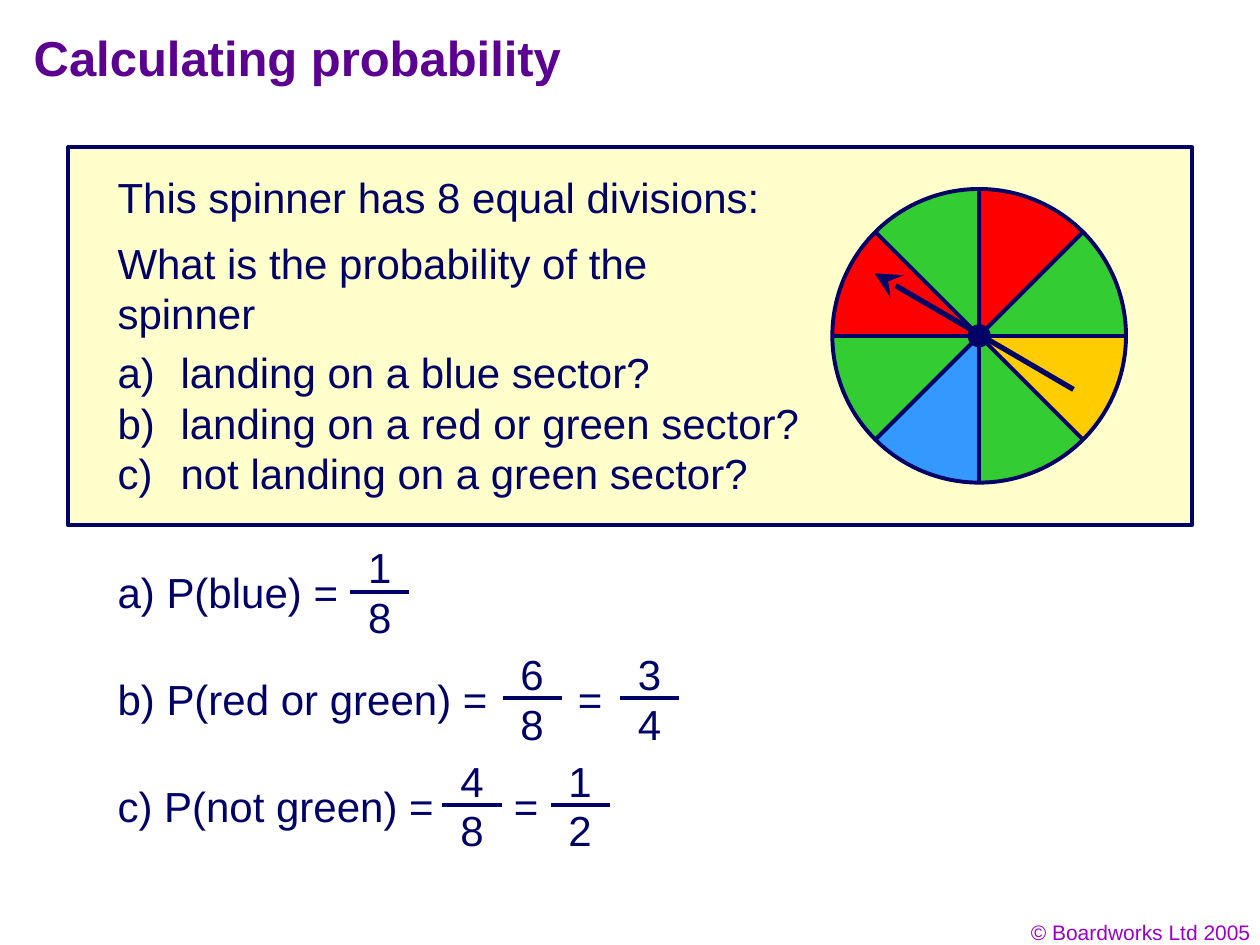
from dataclasses import dataclass
from math import cos, radians, sin

from lxml import etree
from pptx import Presentation
from pptx.dml.color import RGBColor
from pptx.enum.shapes import MSO_CONNECTOR, MSO_SHAPE
from pptx.enum.text import MSO_ANCHOR, PP_ALIGN
from pptx.oxml.ns import qn
from pptx.util import Cm, Pt

STRAIGHT = MSO_CONNECTOR.STRAIGHT
RECTANGLE, OVAL, PIE = MSO_SHAPE.RECTANGLE, MSO_SHAPE.OVAL, MSO_SHAPE.PIE
TOP, MIDDLE = MSO_ANCHOR.TOP, MSO_ANCHOR.MIDDLE
LEFT, RIGHT = PP_ALIGN.LEFT, PP_ALIGN.RIGHT


@dataclass(frozen=True)
class Theme:
    font: str = "Arial"
    title: str = "5B0091"
    body: str = "010066"
    outline: str = "000066"
    panel: str = "FFFFCC"
    credit: str = "9900CC"
    red: str = "FF0000"
    green: str = "33CC33"
    blue: str = "3399FF"
    yellow: str = "FFCC00"
    title_size: float = 28
    body_size: float = 24
    credit_size: float = 12
    line_width: float = 2.25
    hub_line: float = 0.75
    pointer_width: float = 3


@dataclass(frozen=True)
class Fraction:
    left: float
    top: str
    bottom: str


@dataclass(frozen=True)
class Equation:
    label: str
    width: float
    fractions: tuple[Fraction, ...]
    equals_left: float = 0


THEME = Theme()
TEXT_LEFT = 2.12
CENTRE_X, CENTRE_Y, RADIUS, HUB_RADIUS = 19.74, 6.77, 2.96, 0.22
FIRST_ROW, ROW_STEP = 11.3, 2.15
BAR_WIDTH, BAR_DROP, DIGIT_SHIFT = 1.19, 0.63, 0.5
SECTORS = (THEME.yellow, THEME.green, THEME.blue, THEME.green,
           THEME.red, THEME.green, THEME.red, THEME.green)
QUESTIONS = ("landing on a blue sector?",
             "landing on a red or green sector?",
             "not landing on a green sector?")
EQUATIONS = (
    Equation("a) P(blue) =", 5.1, (Fraction(7.06, "1", "8"),)),
    Equation("b) P(red or green) =", 8.2,
             (Fraction(10.13, "6", "8"), Fraction(12.5, "3", "4")), 11.4),
    Equation("c) P(not green) =", 7.1,
             (Fraction(8.92, "4", "8"), Fraction(11.1, "1", "2")), 10.11),
)


def colour(value: str) -> RGBColor:
    return RGBColor.from_string(value)


def add_text(page, text: str, left: float, top: float, width: float,
             height: float = 1.27, *, size: float = THEME.body_size,
             fill: str = THEME.body, bold: bool = False, align=LEFT,
             anchor=TOP, wrap: bool = True, lettered: bool = False) -> None:
    box = page.shapes.add_textbox(Cm(left), Cm(top), Cm(width), Cm(height))
    frame = box.text_frame
    frame.word_wrap = wrap
    frame.vertical_anchor = anchor
    frame.text = text
    for para in frame.paragraphs:
        para.alignment = align
        if lettered:
            settings = para._p.get_or_add_pPr()
            settings.set("marL", str(Cm(1.27)))
            settings.set("indent", str(-Cm(1.27)))
            bullet = etree.SubElement(settings, qn("a:buAutoNum"))
            bullet.set("type", "alphaLcParenR")
        for span in para.runs:
            span.font.name = THEME.font
            span.font.size = Pt(size)
            span.font.bold = bold
            span.font.color.rgb = colour(fill)


def add_shape(page, kind, left: float, top: float, width: float, height: float,
              fill: str | None = None, line: float | None = None):
    shape = page.shapes.add_shape(kind, Cm(left), Cm(top), Cm(width), Cm(height))
    shape.shadow.inherit = False
    if fill is None:
        shape.fill.background()
    else:
        shape.fill.solid()
        shape.fill.fore_color.rgb = colour(fill)
    if line is None:
        shape.line.fill.background()
    else:
        shape.line.color.rgb = colour(THEME.outline)
        shape.line.width = Pt(line)
    return shape


def add_circle(page, radius: float, fill: str | None, line: float) -> None:
    add_shape(page, OVAL, CENTRE_X - radius, CENTRE_Y - radius,
              2 * radius, 2 * radius, fill, line)


def add_line(page, start: tuple[float, float], end: tuple[float, float],
             width: float = THEME.line_width, arrow: bool = False) -> None:
    line = page.shapes.add_connector(
        STRAIGHT, Cm(start[0]), Cm(start[1]), Cm(end[0]), Cm(end[1]))
    line.line.color.rgb = colour(THEME.outline)
    line.line.width = Pt(width)
    if arrow:
        tail = etree.SubElement(line.line._get_or_add_ln(), qn("a:tailEnd"))
        tail.set("type", "stealth")
        tail.set("w", "lg")
        tail.set("len", "lg")
    etree.SubElement(line._element.spPr, qn("a:effectLst"))


def add_spinner(page) -> None:
    step = 360 / len(SECTORS)
    for index, fill in enumerate(SECTORS):
        sector = add_shape(page, PIE, CENTRE_X - RADIUS, CENTRE_Y - RADIUS,
                           2 * RADIUS, 2 * RADIUS, fill)
        sector.adjustments[0] = index * step * 0.6
        sector.adjustments[1] = (index + 1) * step % 360 * 0.6
    add_circle(page, RADIUS, None, THEME.line_width)
    add_circle(page, HUB_RADIUS, THEME.outline, THEME.hub_line)
    for index in range(len(SECTORS) // 2):
        angle = radians(index * step)
        across, down = RADIUS * cos(angle), RADIUS * sin(angle)
        add_line(page, (CENTRE_X - across, CENTRE_Y - down),
                 (CENTRE_X + across, CENTRE_Y + down))
    add_line(page, (21.64, 7.85), (17.63, 5.51), THEME.pointer_width, arrow=True)


def add_equation(page, equation: Equation, top: float) -> None:
    add_text(page, equation.label, TEXT_LEFT, top, equation.width)
    if equation.equals_left:
        add_text(page, "=", equation.equals_left, top, 0.99, wrap=False)
    for fraction in equation.fractions:
        digit_left = fraction.left + 0.11
        add_text(page, fraction.top, digit_left, top - DIGIT_SHIFT, 0.97, wrap=False)
        add_line(page, (fraction.left, top + BAR_DROP),
                 (fraction.left + BAR_WIDTH, top + BAR_DROP))
        add_text(page, fraction.bottom, digit_left, top + DIGIT_SHIFT, 0.97, wrap=False)


def main() -> None:
    deck = Presentation()
    deck.slide_width, deck.slide_height = Cm(25.4), Cm(19.05)
    page = deck.slides.add_slide(deck.slide_layouts[6])

    add_text(page, "Calculating probability", 0.43, 0.41, 14.07, 1.47,
             size=THEME.title_size, fill=THEME.title, bold=True, anchor=MIDDLE)
    add_shape(page, RECTANGLE, 1.37, 2.97, 22.66, 7.62, THEME.panel, THEME.line_width)
    add_text(page, "This spinner has 8 equal divisions:", TEXT_LEFT, 3.33, 19.56)
    add_text(page, "What is the probability of the spinner",
             TEXT_LEFT, 4.66, 13.77, 2.29)
    add_spinner(page)
    add_text(page, "\n".join(QUESTIONS), TEXT_LEFT, 6.87, 15.77, 3.3, lettered=True)
    for index, equation in enumerate(EQUATIONS):
        add_equation(page, equation, FIRST_ROW + index * ROW_STEP)
    add_text(page, "© Boardworks Ltd 2005", 19.54, 18.42, 5.92, 0.76,
             size=THEME.credit_size, fill=THEME.credit, align=RIGHT)
    deck.save("out.pptx")


if __name__ == "__main__":
    main()
